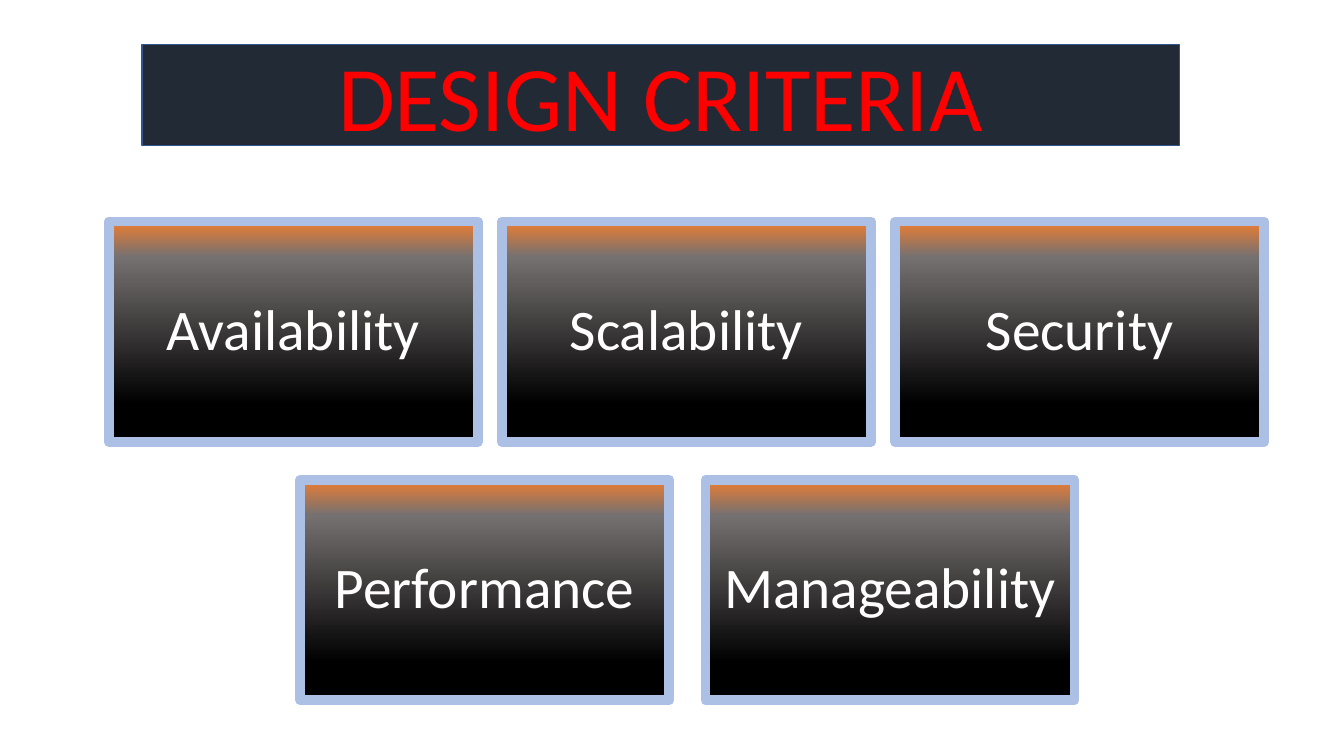
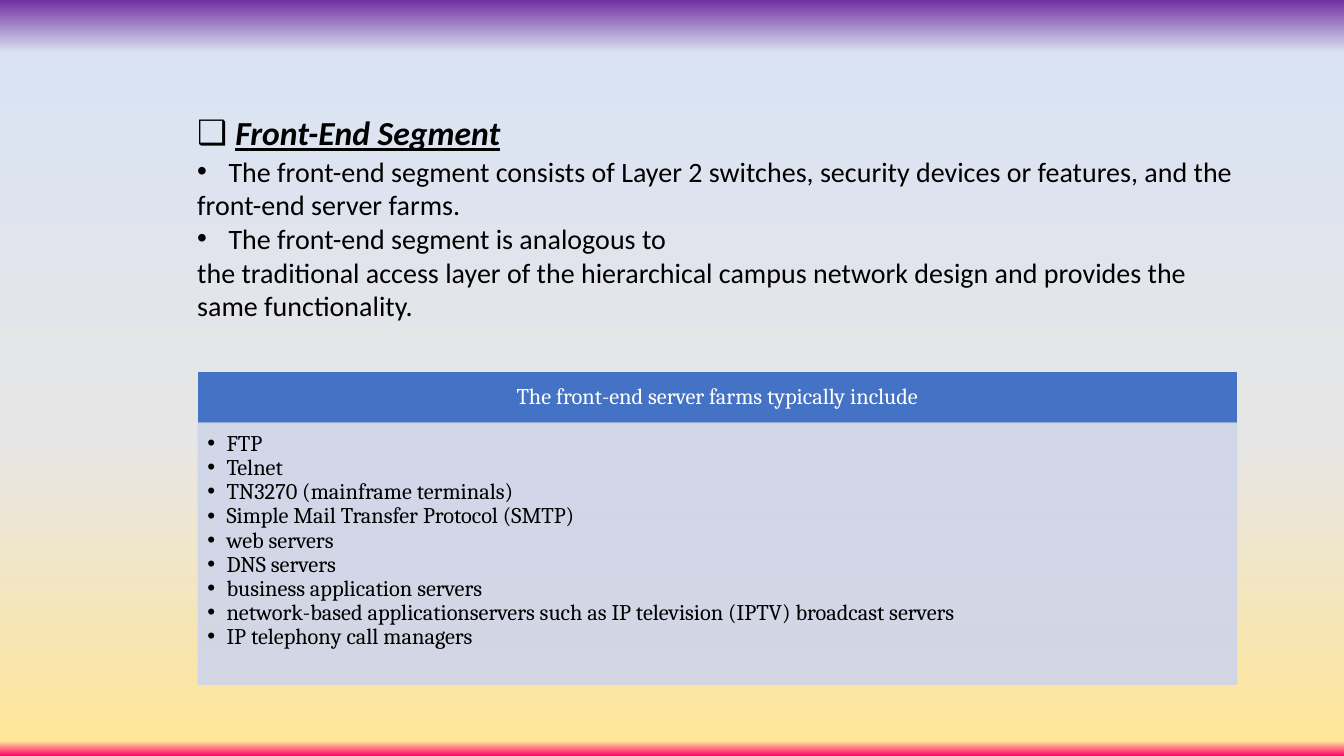
from lxml import etree
from pptx import Presentation
from pptx import util as u
from pptx.dml.color import RGBColor
from pptx.enum import shapes, text
from pptx.oxml.ns import qn

Cm, Pt = u.Cm, u.Pt

WHITE = RGBColor(0xFF, 0xFF, 0xFF)
BLACK = RGBColor(0, 0, 0)
RED = RGBColor(0xFF, 0, 0)
NAVY = RGBColor(0x22, 0x2A, 0x35)
NAVY_EDGE = RGBColor(0x32, 0x54, 0x91)
CARD_EDGE = RGBColor(0xAB, 0xC0, 0xE4)
BLUE = RGBColor(0x44, 0x72, 0xC4)
PALE_BLUE = RGBColor(0xCF, 0xD5, 0xEA)

# Gradient stops: position in percent, colour
CARD_GRADIENT = [
    (0, RGBColor(0xED, 0x7D, 0x31)),
    (16, RGBColor(0x76, 0x71, 0x71)),
    (83, BLACK),
    (100, BLACK),
]
PAGE_GRADIENT = [
    (0, RGBColor(0x70, 0x30, 0xA0)),
    (7, RGBColor(0xDA, 0xE3, 0xF3)),
    (58, RGBColor(0xE7, 0xE6, 0xE6)),
    (98, RGBColor(0xFF, 0xE6, 0x99)),
    (100, RGBColor(0xFF, 0, 0x66)),
]

BODY_FONT, LIST_FONT = "Calibri", "Cambria"
LEFT, CENTER = text.PP_ALIGN.LEFT, text.PP_ALIGN.CENTER
TOP, MIDDLE = text.MSO_ANCHOR.TOP, text.MSO_ANCHOR.MIDDLE

CARD_WIDTH, CARD_HEIGHT = 9.3, 5.56
# Card rows: left, pitch, top, labels
CARD_ROWS = [
    (2.74, 9.91, 5.58, ["Availability", "Scalability", "Security"]),
    (7.57, 10.21, 12.09, ["Performance", "Manageability"]),
]

# Segment description: bulleted, line
DESCRIPTION = [
    (True, "The front-end segment consists of Layer 2 switches, security "
           "devices or features, and the"),
    (False, "front-end server farms."),
    (True, "The front-end segment is analogous to"),
    (False, "the traditional access layer of the hierarchical campus network "
            "design and provides the"),
    (False, "same functionality."),
]

SERVER_FARMS = [
    "FTP",
    "Telnet",
    "TN3270 (mainframe terminals)",
    "Simple Mail Transfer Protocol (SMTP)",
    "web servers",
    "DNS servers",
    "business application servers",
    "network-based applicationservers such as IP television (IPTV) broadcast servers",
    "IP telephony call managers",
]


def set_gradient(fill, element, stops):
    """Fill from top to bottom with any number of stops."""
    fill.gradient()
    fill.gradient_angle = 270
    stop_list = next(element.iter(qn("a:gsLst")))
    for stop in list(stop_list):
        stop_list.remove(stop)
    for position, color in stops:
        stop = etree.SubElement(stop_list, qn("a:gs"), pos=str(position * 1000))
        etree.SubElement(stop, qn("a:srgbClr"), val=str(color))


def set_alpha(shape, percent):
    for color in shape.element.spPr.iter(qn("a:srgbClr")):
        etree.SubElement(color, qn("a:alpha"), val=str(percent * 1000))


def set_bullet(paragraph, character, indent):
    properties = paragraph._p.get_or_add_pPr()
    properties.set("marL", str(Cm(indent)))
    properties.set("indent", str(-Cm(indent)))
    etree.SubElement(properties, qn("a:buFont"), typeface="Arial")
    etree.SubElement(properties, qn("a:buChar"), char=character)


def set_text(shape, lines, size, color, font=BODY_FONT, align=LEFT,
             anchor=TOP, spacing=1.0, insets=(0.25, 0.13, 0.25, 0.13)):
    frame = shape.text_frame
    frame.text = "\n".join(lines)
    frame.word_wrap = True
    frame.auto_size = text.MSO_AUTO_SIZE.NONE
    frame.vertical_anchor = anchor
    (frame.margin_left, frame.margin_top,
     frame.margin_right, frame.margin_bottom) = map(Cm, insets)
    for paragraph in frame.paragraphs:
        paragraph.alignment = align
        paragraph.line_spacing = spacing
        for run in paragraph.runs:
            run.font.name = font
            run.font.size = Pt(size)
            run.font.color.rgb = color
    return frame.paragraphs


def add_box(slide, left, top, width, height, line_color, line_width, fill_color=None):
    box = slide.shapes.add_shape(shapes.MSO_SHAPE.RECTANGLE,
                                 Cm(left), Cm(top), Cm(width), Cm(height))
    box.shadow.inherit = False
    box.line.color.rgb = line_color
    box.line.width = Pt(line_width)
    if fill_color is not None:
        box.fill.solid()
        box.fill.fore_color.rgb = fill_color
    return box


def add_slide(presentation, left, top, width, height, title, **style):
    """Add a title-only slide and place its title."""
    slide = presentation.slides.add_slide(presentation.slide_layouts[5])
    shape = slide.shapes.title
    shape.left, shape.top, shape.width, shape.height = map(Cm, (left, top, width, height))
    set_text(shape, [title], **style)
    return slide


def add_card(slide, left, top, label):
    card = add_box(slide, left, top, CARD_WIDTH, CARD_HEIGHT, CARD_EDGE, 7)
    set_gradient(card.fill, card.element, CARD_GRADIENT)
    set_text(card, [label], 41, WHITE, align=CENTER, anchor=MIDDLE,
             spacing=0.9, insets=(0.3, 0.43, 0.3, 0.43))


def build_criteria(presentation):
    # Title band
    slide = add_slide(presentation, 3.58, 1.12, 26.14, 2.54, "DESIGN CRITERIA",
                      size=66, color=RED, align=CENTER, anchor=MIDDLE)
    band = slide.shapes.title
    band.fill.solid()
    band.fill.fore_color.rgb = NAVY
    band.line.color.rgb = NAVY_EDGE
    band.line.width = Pt(1)

    # Criteria cards
    for left, pitch, top, labels in CARD_ROWS:
        for column, label in enumerate(labels):
            add_card(slide, left + column * pitch, top, label)


def build_front_end(presentation):
    # Heading on a gradient page
    slide = add_slide(presentation, 4.72, 2.7, 26.87, 1.15, "Front-End Segment",
                      size=24, color=BLACK)
    set_gradient(slide.background.fill, slide.element, PAGE_GRADIENT)
    heading = slide.shapes.title.text_frame.paragraphs[0]
    set_bullet(heading, "❑", 0.96)
    font = heading.runs[0].font
    font.bold = font.italic = font.underline = True

    # Description
    description = slide.shapes.add_textbox(Cm(4.72), Cm(3.76), Cm(26.87), Cm(4.6))
    paragraphs = set_text(description, [line for _, line in DESCRIPTION], 20, BLACK)
    for paragraph, (bulleted, _) in zip(paragraphs, DESCRIPTION):
        if bulleted:
            set_bullet(paragraph, "•", 0.79)

    # Server farm panel
    header = add_box(slide, 5, 9.38, 26.16, 1.28, BLUE, 1, BLUE)
    set_text(header, ["The front-end server farms typically include"], 16, WHITE,
             LIST_FONT, CENTER, MIDDLE, 0.9)
    panel = add_box(slide, 5, 10.66, 26.16, 6.58, PALE_BLUE, 1, PALE_BLUE)
    set_alpha(panel, 90)
    for paragraph in set_text(panel, SERVER_FARMS, 16, BLACK, LIST_FONT,
                              spacing=0.9, insets=(0.23, 0.23, 0.3, 0.36)):
        set_bullet(paragraph, "•", 0.48)


def main():
    presentation = Presentation()
    presentation.slide_width, presentation.slide_height = Cm(33.87), Cm(19.05)
    build_criteria(presentation)
    build_front_end(presentation)
    presentation.save("out.pptx")


if __name__ == "__main__":
    main()
